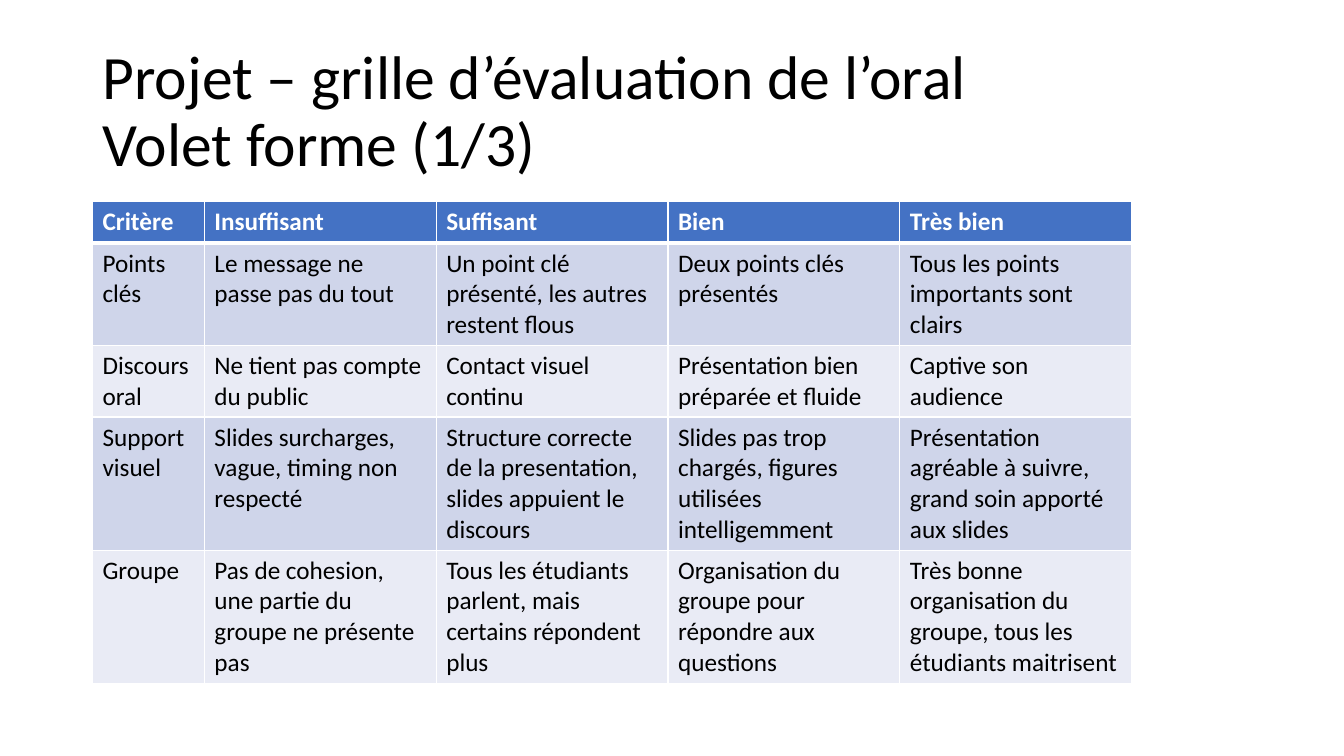
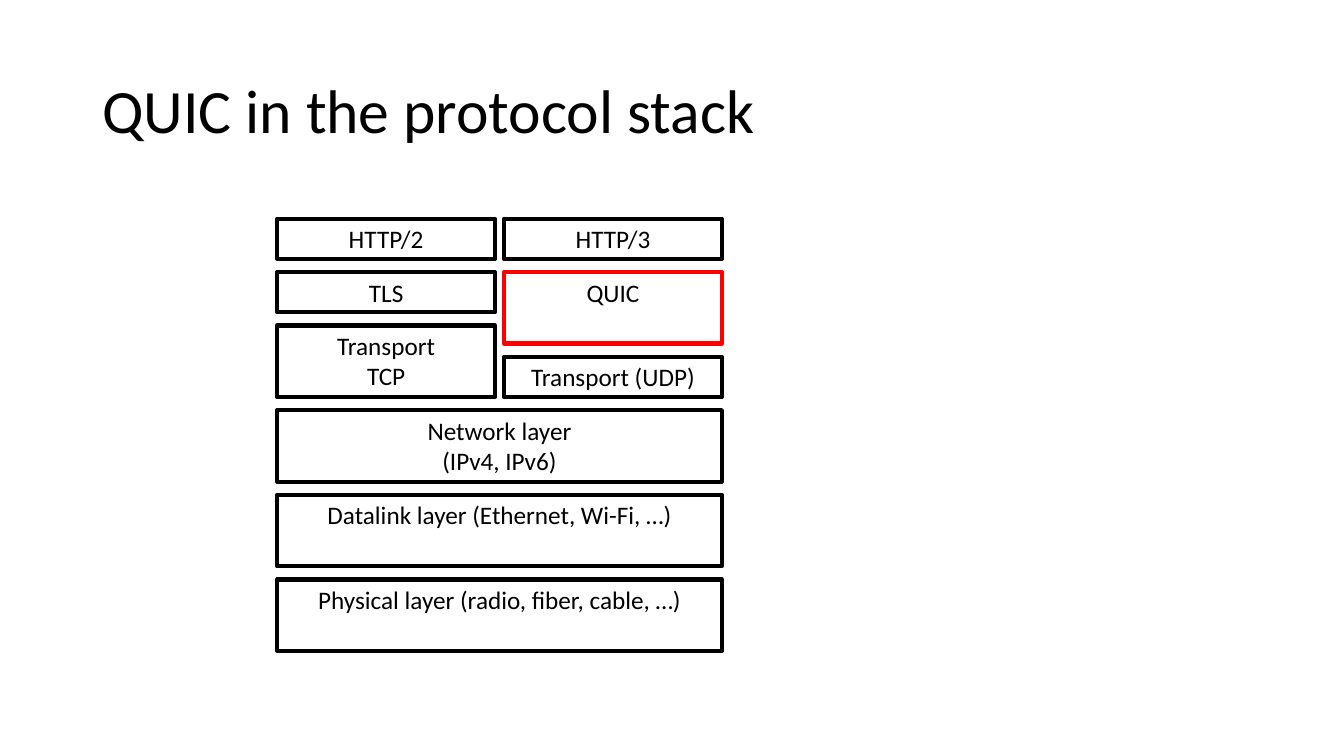
from dataclasses import dataclass

from lxml import etree
from pptx import Presentation
from pptx import util as u
from pptx.dml import color
from pptx.enum import shapes, text
from pptx.oxml import ns


@dataclass(frozen=True)
class Theme:
    face: str = "Calibri"
    title: int = 44
    body: int = 18
    thin: int = 1
    thick: int = 3
    black: str = "000000"
    white: str = "FFFFFF"
    blue: str = "4472C4"
    bands: tuple = ("CFD5EA", "E9EBF5")
    red: str = "FF0000"


THEME = Theme()


def rgb(tone):
    return color.RGBColor.from_string(tone)


def write(frame, words, size=THEME.body, tone=THEME.black, bold=False,
          align=text.PP_ALIGN.LEFT, anchor=text.MSO_ANCHOR.TOP, space=1.0):
    frame.word_wrap = True
    frame.auto_size = text.MSO_AUTO_SIZE.NONE
    frame.vertical_anchor = anchor
    para = frame.paragraphs[0]
    para.text = words
    para.alignment = align
    para.line_spacing = space
    for run in para.runs:
        font = run.font
        font.name, font.size, font.bold = THEME.face, u.Pt(size), bold
        font.color.rgb = rgb(tone)


def edge(cell, side, width):
    props = cell._tc.get_or_add_tcPr()
    line = etree.SubElement(props, ns.qn(f"a:ln{side}"), w=str(u.Pt(width)))
    fill = etree.SubElement(line, ns.qn("a:solidFill"))
    etree.SubElement(fill, ns.qn("a:srgbClr"), val=THEME.white)


class Deck:
    def __init__(self):
        self.show = Presentation()
        self.show.slide_width = u.Inches(13.33)
        self.show.slide_height = u.Inches(7.5)
        self.slide = None

    def wide(self, share):
        return round(self.show.slide_width * share / 100)

    def high(self, share):
        return round(self.show.slide_height * share / 100)

    def place(self, left, top, width, height):
        return self.wide(left), self.high(top), self.wide(width), self.high(height)

    def page(self, words):
        self.slide = self.show.slides.add_slide(self.show.slide_layouts[5])
        head = self.slide.shapes.title
        head.left, head.top, head.width, head.height = self.place(6.88, 5.32, 86.25, 19.33)
        write(head.text_frame, words, size=THEME.title,
              anchor=text.MSO_ANCHOR.MIDDLE, space=0.9)

    def box(self, words, left, top, width, height, tone=THEME.black):
        rect = self.slide.shapes.add_shape(
            shapes.MSO_SHAPE.RECTANGLE, *self.place(left, top, width, height))
        rect.shadow.inherit = False
        rect.fill.background()
        rect.line.color.rgb = rgb(tone)
        rect.line.width = u.Pt(THEME.thick)
        write(rect.text_frame, words, align=text.PP_ALIGN.CENTER)

    def table(self, data, left, top, cols, rows):
        spot = self.place(left, top, sum(cols), sum(rows))
        grid = self.slide.shapes.add_table(len(rows), len(cols), *spot).table
        for col, share in zip(grid.columns, cols):
            col.width = self.wide(share)
        for row, share in zip(grid.rows, rows):
            row.height = self.high(share)
        for r, line in enumerate(data):
            for c, words in enumerate(line):
                self.cell(grid.cell(r, c), words, r)

    def cell(self, cell, words, row):
        head = row == 0
        for side in "LRTB":
            heavy = (row, side) in ((0, "B"), (1, "T"))
            edge(cell, side, THEME.thick if heavy else THEME.thin)
        cell.fill.solid()
        cell.fill.fore_color.rgb = rgb(THEME.blue if head else THEME.bands[(row - 1) % 2])
        write(cell.text_frame, words, bold=head,
              tone=THEME.white if head else THEME.black)

    def stack(self, items, left, top, width, gap):
        for words, height, tone in items:
            self.box(words, left, top, width, height, tone)
            top += height + gap
        return top


def marks(deck):
    deck.page("Projet – grille d’évaluation de l’oral\nVolet forme (1/3)")
    data = [
        ("Critère", "Insuffisant", "Suffisant", "Bien", "Très bien"),
        ("Points clés", "Le message ne passe pas du tout",
         "Un point clé présenté, les autres restent flous",
         "Deux points clés présentés",
         "Tous les points importants sont clairs"),
        ("Discours oral", "Ne tient pas compte du public",
         "Contact visuel continu",
         "Présentation bien préparée et fluide",
         "Captive son audience"),
        ("Support visuel", "Slides surcharges, vague, timing non respecté",
         "Structure correcte de la presentation, slides appuient le discours",
         "Slides pas trop chargés, figures utilisées intelligemment",
         "Présentation agréable à suivre, grand soin apporté aux slides"),
        ("Groupe", "Pas de cohesion, une partie du groupe ne présente pas",
         "Tous les étudiants parlent, mais certains répondent plus",
         "Organisation du groupe pour répondre aux questions",
         "Très bonne organisation du groupe, tous les étudiants maitrisent"),
    ]
    deck.table(data, 6.88, 26.67, [8.33] + [17.25] * 4, [5.47, 13.47, 9.47, 17.5, 17.5])


def layers(deck):
    deck.page("QUIC in the protocol stack")
    left, top, half, gutter, gap = 20.63, 28.93, 16.2, 0.68, 1.73
    low, tall = 5.33, 9.47
    ink = THEME.black
    tcp = [("HTTP/2", low, ink), ("TLS", low, ink), ("Transport\nTCP", tall, ink)]
    udp = [("HTTP/3", low, ink), ("QUIC", tall, THEME.red), ("Transport (UDP)", low, ink)]
    base = [(words, tall, ink) for words in (
        "Network layer\n(IPv4, IPv6)",
        "Datalink layer (Ethernet, Wi-Fi, …)",
        "Physical layer (radio, fiber, cable, …)")]
    floor = deck.stack(tcp, left, top, half, gap)
    deck.stack(udp, left + half + gutter, top, half, gap)
    deck.stack(base, left, floor, 2 * half + gutter, gap)


def main():
    deck = Deck()
    marks(deck)
    layers(deck)
    deck.show.save("out.pptx")


if __name__ == "__main__":
    main()
